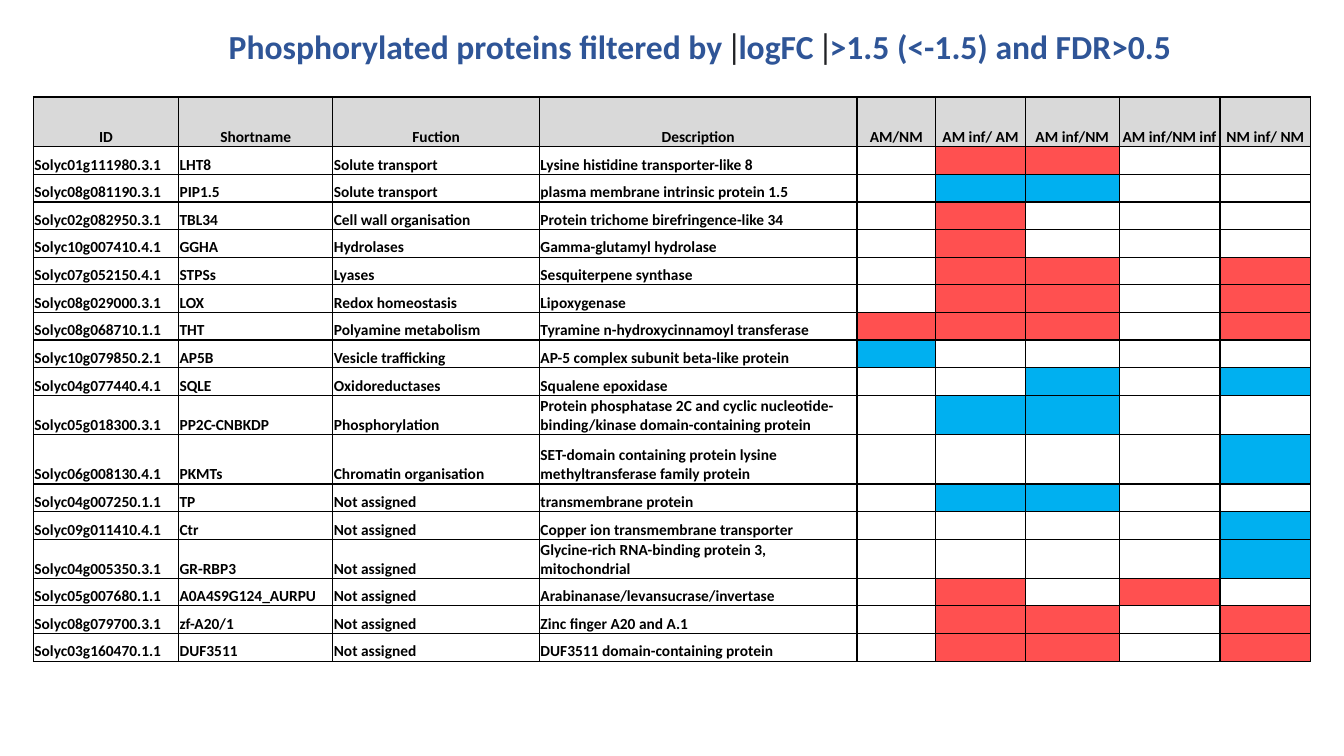
import pptx
import pptx.util
import pptx.dml.color
import pptx.enum.text
import pptx.oxml
import pptx.oxml.ns

Pt = pptx.util.Pt
RGB = pptx.dml.color.RGBColor.from_string
ALIGN = pptx.enum.text.PP_ALIGN
ANCHOR = pptx.enum.text.MSO_ANCHOR

COLORS = {"title": "2F5597", "bar": "202124", "text": "000000", "line": "000000",
          "head": "D9D9D9", "up": "FF5050", "down": "00B0F0"}

# Content
TITLE = [("Phosphorylated proteins filtered by ", "title"), ("|", "bar"),
         ("logFC ", "title"), ("|", "bar"),
         (">1.5 (<-1.5) and FDR>0.5", "title")]

HEADS = ["ID", "Shortname", "Fuction", "Description",
         "AM/NM", "AM inf/ AM", "AM inf/NM", "AM inf/NM inf", "NM inf/ NM"]

# Last field: one mark per comparison, + up, - down, . unchanged
PROTEINS = [
    ("Solyc01g111980.3.1", "LHT8", "Solute transport",
     "Lysine histidine transporter-like 8", ".++.."),
    ("Solyc08g081190.3.1", "PIP1.5", "Solute transport",
     "plasma membrane intrinsic protein 1.5", ".--.."),
    ("Solyc02g082950.3.1", "TBL34", "Cell wall organisation",
     "Protein trichome birefringence-like 34", ".+..."),
    ("Solyc10g007410.4.1", "GGHA", "Hydrolases",
     "Gamma-glutamyl hydrolase", ".+..."),
    ("Solyc07g052150.4.1", "STPSs", "Lyases",
     "Sesquiterpene synthase", ".++.+"),
    ("Solyc08g029000.3.1", "LOX", "Redox homeostasis",
     "Lipoxygenase", ".++.+"),
    ("Solyc08g068710.1.1", "THT", "Polyamine metabolism",
     "Tyramine n-hydroxycinnamoyl transferase", "+++.+"),
    ("Solyc10g079850.2.1", "AP5B", "Vesicle trafficking",
     "AP-5 complex subunit beta-like protein", "-...."),
    ("Solyc04g077440.4.1", "SQLE", "Oxidoreductases",
     "Squalene epoxidase", "..-.-"),
    ("Solyc05g018300.3.1", "PP2C-CNBKDP", "Phosphorylation",
     "Protein phosphatase 2C and cyclic nucleotide-binding/kinase "
     "domain-containing protein", ".--.."),
    ("Solyc06g008130.4.1", "PKMTs", "Chromatin organisation",
     "SET-domain containing protein lysine methyltransferase family protein", "....-"),
    ("Solyc04g007250.1.1", "TP", "Not assigned",
     "transmembrane protein", ".--.."),
    ("Solyc09g011410.4.1", "Ctr", "Not assigned",
     "Copper ion transmembrane transporter", "....-"),
    ("Solyc04g005350.3.1", "GR-RBP3", "Not assigned",
     "Glycine-rich RNA-binding protein 3, mitochondrial", "....-"),
    ("Solyc05g007680.1.1", "A0A4S9G124_AURPU", "Not assigned",
     "Arabinanase/levansucrase/invertase", ".+.+."),
    ("Solyc08g079700.3.1", "zf-A20/1", "Not assigned",
     "Zinc finger A20 and A.1", ".++.+"),
    ("Solyc03g160470.1.1", "DUF3511", "Not assigned",
     "DUF3511 domain-containing protein", ".++.+"),
]

# Layout, in points
WIDTHS = [103.7, 110.2, 147.6, 226.8, 56.2, 64.1, 67, 72, 64.8]
ROW = 19.75
TALL = {0: 35.5, 10: 27, 11: 35.5, 14: 27}
MARKS = {"+": "up", "-": "down", ".": None}
FONTS = {"title": {"name": "Calibri", "size": Pt(24), "bold": True},
         "bar": {"name": "Lato", "size": Pt(24), "bold": False},
         "text": {"name": "Calibri", "size": Pt(11), "bold": True}}
CELL = {"margin_left": Pt(0.7), "margin_right": Pt(0.7), "margin_top": Pt(0.7),
        "margin_bottom": 0, "vertical_anchor": ANCHOR.BOTTOM}


def put(item, values):
    for key, value in values.items():
        setattr(item, key, value)


def write(para, text, style):
    run = para.add_run()
    run.text = text
    put(run.font, FONTS[style])
    run.font.color.rgb = RGB(COLORS[style])


def frame(cell):
    props = cell._tc.get_or_add_tcPr()
    for side in "LRTB":
        props.append(pptx.oxml.parse_xml(
            f'<a:ln{side} {pptx.oxml.ns.nsdecls("a")} w="{Pt(1)}"><a:solidFill>'
            f'<a:srgbClr val="{COLORS["line"]}"/></a:solidFill></a:ln{side}>'))


def fill(cell, text, color, align):
    put(cell, CELL)
    frame(cell)
    if color:
        cell.fill.solid()
        cell.fill.fore_color.rgb = RGB(COLORS[color])
    else:
        cell.fill.background()
    para = cell.text_frame.paragraphs[0]
    para.alignment = align
    if text:
        write(para, text, "text")
    else:  # keeps an empty cell as low as its row
        para._p.append(pptx.oxml.parse_xml(
            f'<a:endParaRPr {pptx.oxml.ns.nsdecls("a")} sz="1100"/>'))


deck = pptx.Presentation()
put(deck, {"slide_width": Pt(960), "slide_height": Pt(540)})
slide = deck.slides.add_slide(deck.slide_layouts[5])

# Title
title = slide.shapes.title
put(title, {"left": Pt(156.2), "top": Pt(15.1), "width": Pt(796.3), "height": Pt(36)})
put(title.text_frame, {"word_wrap": True, "vertical_anchor": ANCHOR.TOP,
                       "auto_size": pptx.enum.text.MSO_AUTO_SIZE.NONE})
para = title.text_frame.paragraphs[0]
para.alignment = ALIGN.LEFT
for text, style in TITLE:
    write(para, text, style)

# Protein table
heights = [TALL.get(i, ROW) for i in range(len(PROTEINS) + 1)]
table = slide.shapes.add_table(len(heights), len(WIDTHS), Pt(23.9), Pt(69.3),
                               Pt(sum(WIDTHS)), Pt(sum(heights))).table
put(table, {"first_row": False, "horz_banding": False})
for col, width in zip(table.columns, WIDTHS):
    col.width = Pt(width)
for row, height in zip(table.rows, heights):
    row.height = Pt(height)

for c, head in enumerate(HEADS):
    fill(table.cell(0, c), head, "head", ALIGN.CENTER)
for r, (*texts, marks) in enumerate(PROTEINS, 1):
    parts = [(text, None) for text in texts] + [("", MARKS[m]) for m in marks]
    for c, (text, color) in enumerate(parts):
        fill(table.cell(r, c), text, color, ALIGN.LEFT)

deck.save("out.pptx")
